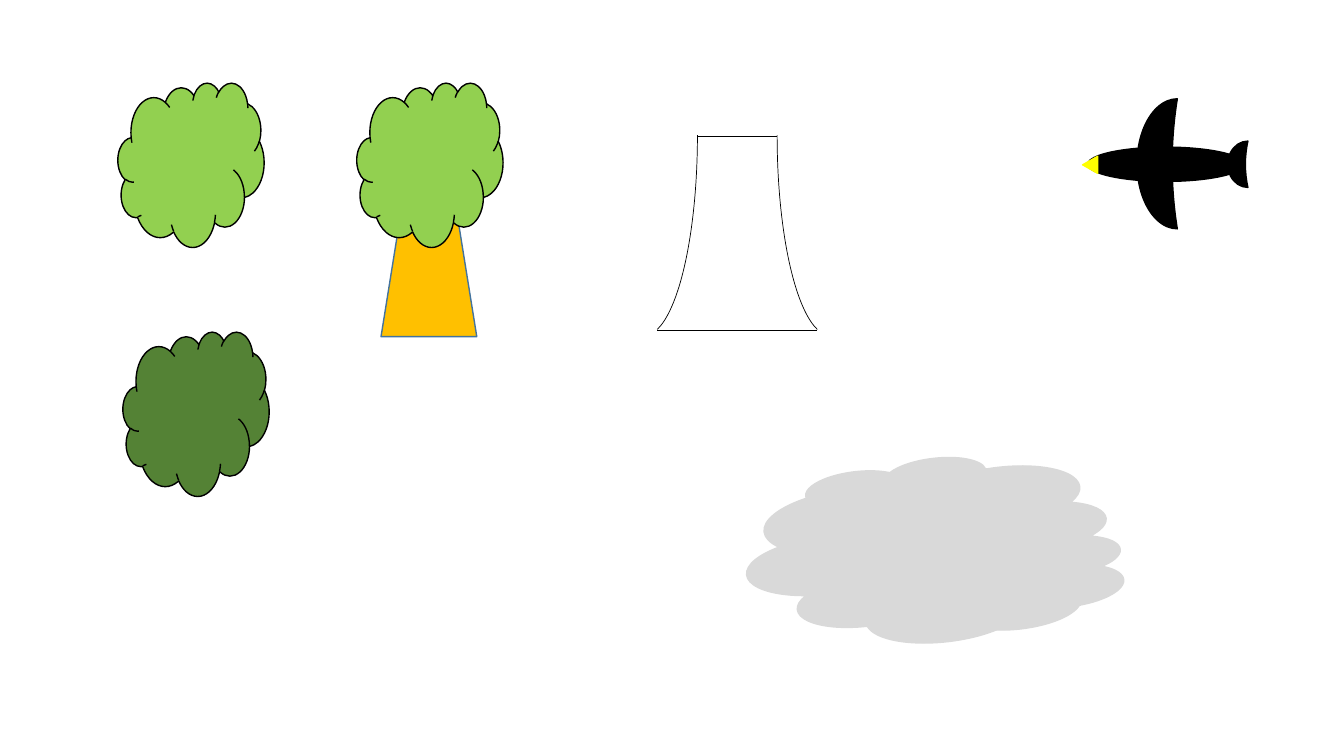
from lxml import etree
from pptx import Presentation, util as u
from pptx.dml.color import RGBColor
from pptx.enum import shapes as s
from pptx.oxml.ns import qn

CELL = 0.1  # inches per grid column and row
COLUMNS, ROWS = 133.33, 75
BLACK, LEAF, DARK_LEAF = "000000", "92D050", "548235"
BARK, BARK_EDGE, SMOKE, BEAK = "FFC000", "43739E", "D9D9D9", "FFFF00"


def grid(cells):
    return u.Inches(cells * CELL)


def colour(hex_code):
    return RGBColor.from_string(hex_code)


class Scene:
    """Holds the line style and the slide being drawn."""

    def __init__(self, slide, outline=1, thin=0.5):
        self.slide, self.outline, self.thin = slide, outline, thin

    def group(self):
        return self.slide.shapes.add_group_shape().shapes

    def shape(self, kind, box, fill, edge=BLACK, parent=None, rotation=0, adjust=()):
        parent = self.slide.shapes if parent is None else parent
        drawn = parent.add_shape(kind, *map(grid, box))
        drawn.shadow.inherit = False
        drawn.rotation = rotation
        for index, value in enumerate(adjust):
            drawn.adjustments[index] = value
        if fill:
            drawn.fill.solid()
            drawn.fill.fore_color.rgb = colour(fill)
        else:
            drawn.fill.background()
        drawn.line.color.rgb = colour(edge)
        drawn.line.width = u.Pt(self.outline)
        return drawn

    def foliage(self, left, top, fill):
        return self.shape(s.MSO_SHAPE.CLOUD, (left, top, 14.5, 16.3), fill)

    def curve(self, box, flips, parent):
        side = self.shape(s.MSO_SHAPE.ARC, box, None, parent=parent,
                          adjust=(164.331, 0))
        side.line.width = u.Pt(self.thin)
        frame = side.element.spPr.find(qn("a:xfrm"))
        for flip in flips:
            frame.set(flip, "1")

    def level(self, left, right, row, parent):
        rim = parent.add_connector(s.MSO_CONNECTOR.STRAIGHT,
                                   grid(left), grid(row), grid(right), grid(row))
        rim.line.color.rgb = colour(BLACK)
        rim.line.width = u.Pt(self.thin)
        etree.SubElement(rim.element.spPr, qn("a:effectLst"))


def main():
    prs = Presentation()
    prs.slide_width, prs.slide_height = grid(COLUMNS), grid(ROWS)
    scene = Scene(prs.slides.add_slide(prs.slide_layouts[6]))
    preset = s.MSO_SHAPE

    # Light bush, then the tree with its trunk behind the crown
    scene.foliage(11.7, 8.2, LEAF)
    scene.shape(preset.TRAPEZOID, (37.8, 18.6, 9.5, 14.8), BARK, BARK_EDGE)
    scene.foliage(35.4, 8.2, LEAF)

    # Cooling tower: mirrored sides, base and rim
    tower = scene.group()
    axis, rim_half, base_half, side_width = 73.15, 3.95, 7.95, 10.6
    for left, flips in ((axis - rim_half - side_width, ["flipV"]),
                        (axis + rim_half, ["flipH", "flipV"])):
        scene.curve((left, -6.5, side_width, 39.8), flips, tower)
    for half, row in ((base_half, 32.8), (rim_half, 13.5)):
        scene.level(axis - half, axis + half, row, tower)

    # Dark bush and smoke cloud
    scene.foliage(12.2, 32.9, DARK_LEAF)
    scene.shape(preset.CLOUD, (83.5, 36.1, 18.2, 37.1), SMOKE, SMOKE, rotation=83.3)

    # Bird: wings, body, tail and beak
    bird = scene.group()
    scene.shape(preset.MOON, (112.8, 9.8, 4, 12.9), BLACK, parent=bird, adjust=[0.871])
    scene.shape(preset.OVAL, (107.9, 14.6, 15.5, 3.4), BLACK, parent=bird)
    scene.shape(preset.MOON, (121.8, 14, 2, 4.6), BLACK, parent=bird, adjust=[0.875])
    scene.shape(preset.ISOSCELES_TRIANGLE, (107.3, 15.6, 1.7, 1.5), BEAK, BEAK,
                parent=bird, rotation=270)

    prs.save("out.pptx")


if __name__ == "__main__":
    main()
